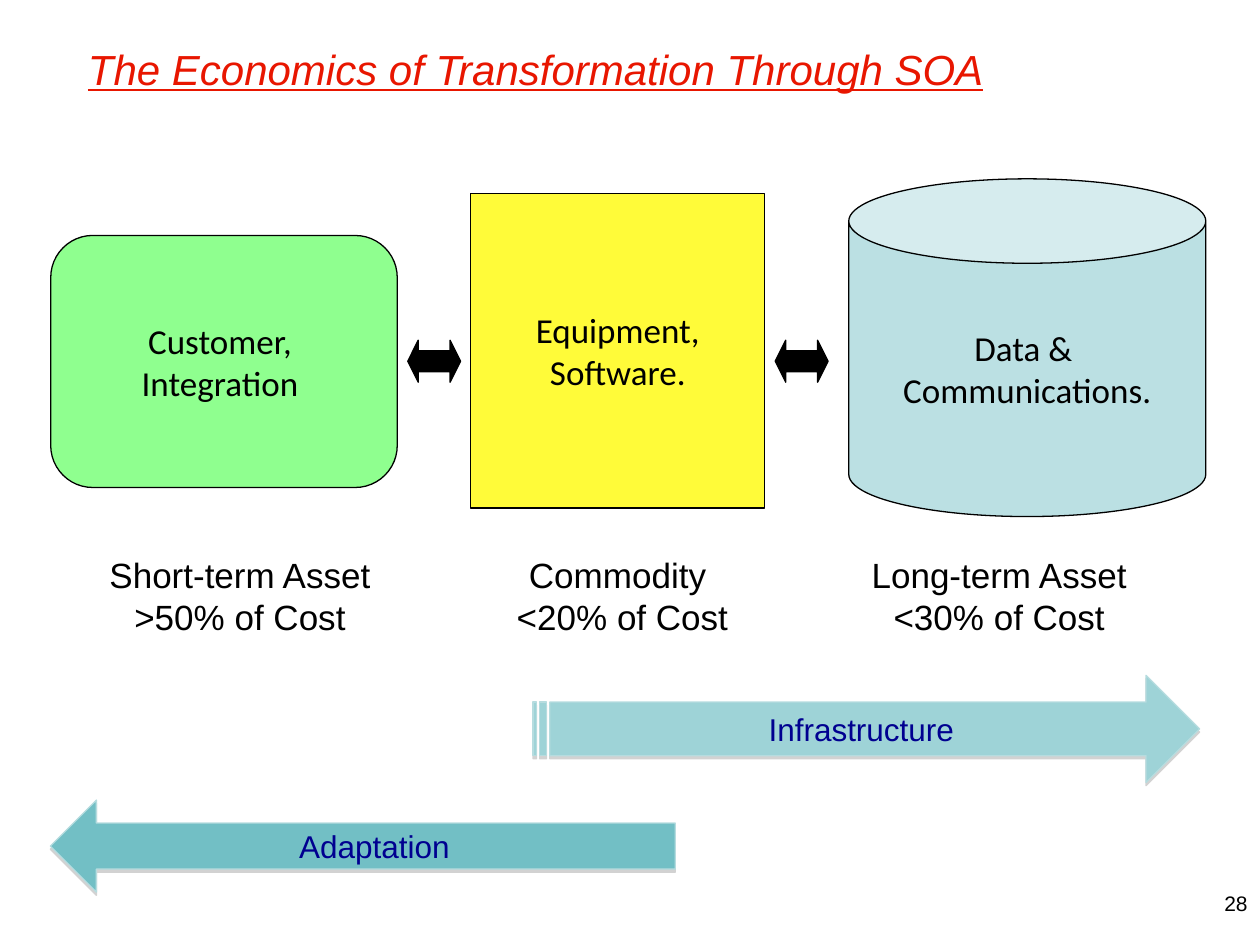
from dataclasses import dataclass

from lxml import etree
from pptx import Presentation
from pptx.dml.color import RGBColor
from pptx.enum import shapes, text
from pptx.oxml.ns import qn
from pptx.util import Pt

Kind = shapes.MSO_SHAPE
Align = text.PP_ALIGN
Anchor = text.MSO_ANCHOR


@dataclass(frozen=True)
class Theme:
    ink: str = "000000"
    red: str = "E81600"
    navy: str = "000090"
    green: str = "8FFF8F"
    yellow: str = "FFFB39"
    blue: str = "BBE0E3"
    teal: str = "9ED3D7"
    deep: str = "72BFC5"
    edge: str = "B6DCDF"
    shade: str = "808080"
    sans: str = "Arial"
    round: str = "Calibri"
    head: int = 24
    body: int = 20
    flow: int = 18
    small: int = 12


class Deck:
    def __init__(self, theme):
        self.theme = theme
        self.prs = Presentation()
        self.prs.slide_width, self.prs.slide_height = Pt(720), Pt(540)
        self.slide = self.prs.slides.add_slide(self.prs.slide_layouts[6])

    def letter(self, shape, words, size, color, font, align=Align.CENTER,
               anchor=Anchor.MIDDLE, wrap=True):
        """Set the text of a shape and its style."""
        frame = shape.text_frame
        frame.text = words
        frame.word_wrap = wrap
        frame.vertical_anchor = anchor
        for para in frame.paragraphs:
            para.alignment = align
            for run in para.runs:
                run.font.size = Pt(size)
                run.font.name = font
                run.font.color.rgb = RGBColor.from_string(color)

    def label(self, words, box, size, color=None, **opts):
        shape = self.slide.shapes.add_textbox(*map(Pt, box))
        self.letter(shape, words, size, color or self.theme.ink,
                    self.theme.sans, **opts)
        return shape

    def title(self, words, box):
        shape = self.label(words, box, self.theme.head, self.theme.red,
                           align=Align.LEFT)
        font = shape.text_frame.paragraphs[0].runs[0].font
        font.italic = font.underline = True

    def block(self, kind, box, fill, edge, adjust=()):
        shape = self.slide.shapes.add_shape(kind, *map(Pt, box))
        shape.shadow.inherit = False
        shape.fill.solid()
        shape.fill.fore_color.rgb = RGBColor.from_string(fill)
        shape.line.color.rgb = RGBColor.from_string(edge)
        shape.line.width = Pt(0.75)
        for i, value in enumerate(adjust):
            shape.adjustments[i] = value
        return shape

    def node(self, words, kind, box, fill):
        shape = self.block(kind, box, fill, self.theme.ink)
        self.letter(shape, words, self.theme.body, self.theme.ink,
                    self.theme.round, wrap=False)

    def link(self, left):
        """Add a small double arrow between two nodes."""
        self.block(Kind.LEFT_RIGHT_ARROW, (left, 194.4, 30.2, 24),
                   self.theme.ink, self.theme.ink, (0.5, 0.25))

    def flow(self, words, kind, box, fill):
        """Add a wide arrow with a soft shadow below it."""
        shape = self.block(kind, box, fill, self.theme.edge, (0.5, 0.5))
        self.letter(shape, words, self.theme.flow, self.theme.navy,
                    self.theme.sans)
        effects = shape._element.spPr.find(qn("a:effectLst"))
        drop = etree.SubElement(effects, qn("a:outerShdw"), dist=str(Pt(1.8)),
                                dir="5400000", rotWithShape="0")
        color = etree.SubElement(drop, qn("a:srgbClr"), val=self.theme.shade)
        etree.SubElement(color, qn("a:alpha"), val="35000")


def main():
    look = Theme()
    deck = Deck(look)
    deck.title("The Economics of Transformation Through SOA",
               (43.2, 15.8, 597.6, 46.8))
    deck.label("28", (552, 505.4, 168, 26), look.small,
               align=Align.RIGHT, anchor=Anchor.TOP)

    deck.node("Customer, \nIntegration ", Kind.ROUNDED_RECTANGLE,
              (29, 134.6, 198, 144), look.green)
    deck.node("Equipment,\nSoftware.", Kind.RECTANGLE,
              (269, 110.4, 168, 180), look.yellow)
    deck.node("Data & \nCommunications.", Kind.CAN,
              (485, 102.2, 204, 193), look.blue)
    for left in (233, 443):
        deck.link(left)

    for words, left, width in (
        ("Short-term Asset\n>50% of Cost", 54.7, 164.9),
        ("Commodity \n<20% of Cost", 288, 135.4),
        ("Long-term Asset\n<30% of Cost", 474.5, 193),
    ):
        deck.label(words, (left, 312.5, width, 55.4), look.body,
                   anchor=Anchor.TOP, wrap=False)

    deck.flow("Infrastructure", Kind.STRIPED_RIGHT_ARROW,
              (304.6, 385.9, 380.9, 61.2), look.teal)
    deck.flow("Adaptation", Kind.LEFT_ARROW,
              (28.8, 457.2, 357.1, 52.6), look.deep)
    deck.prs.save("out.pptx")


if __name__ == "__main__":
    main()
